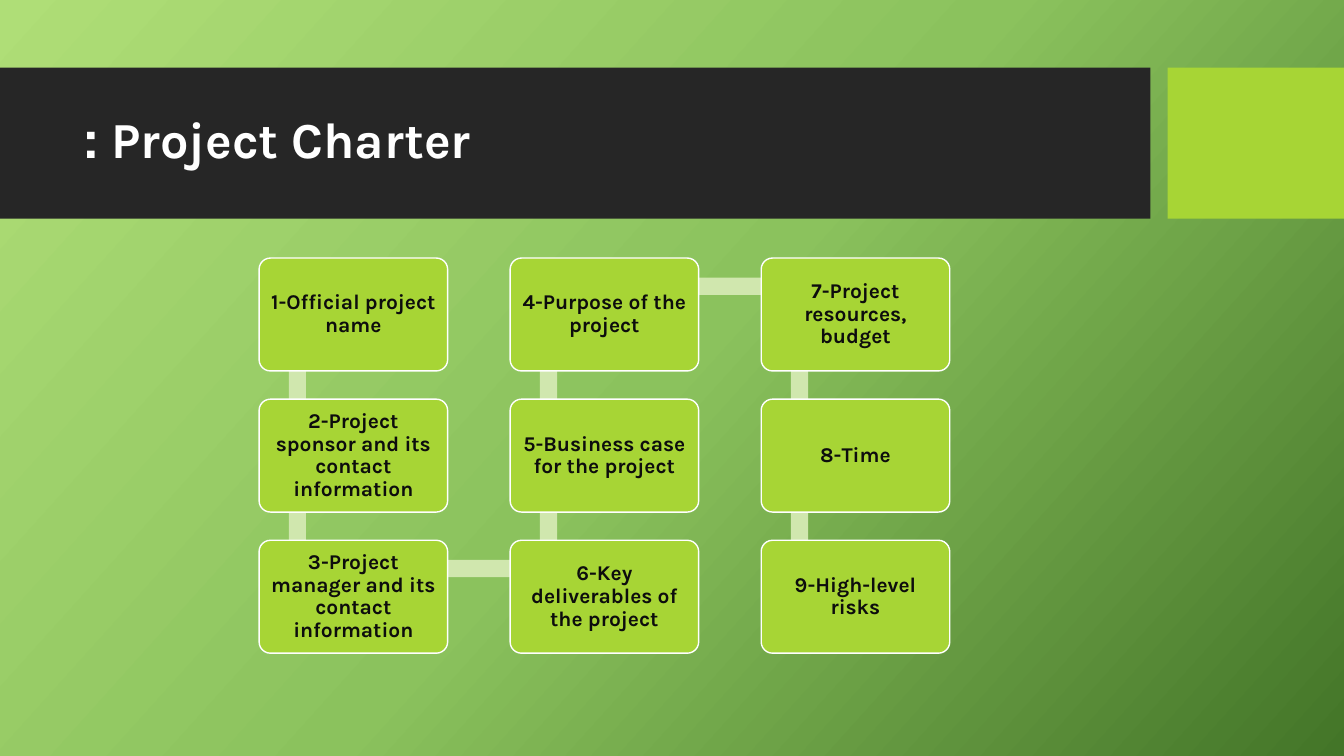
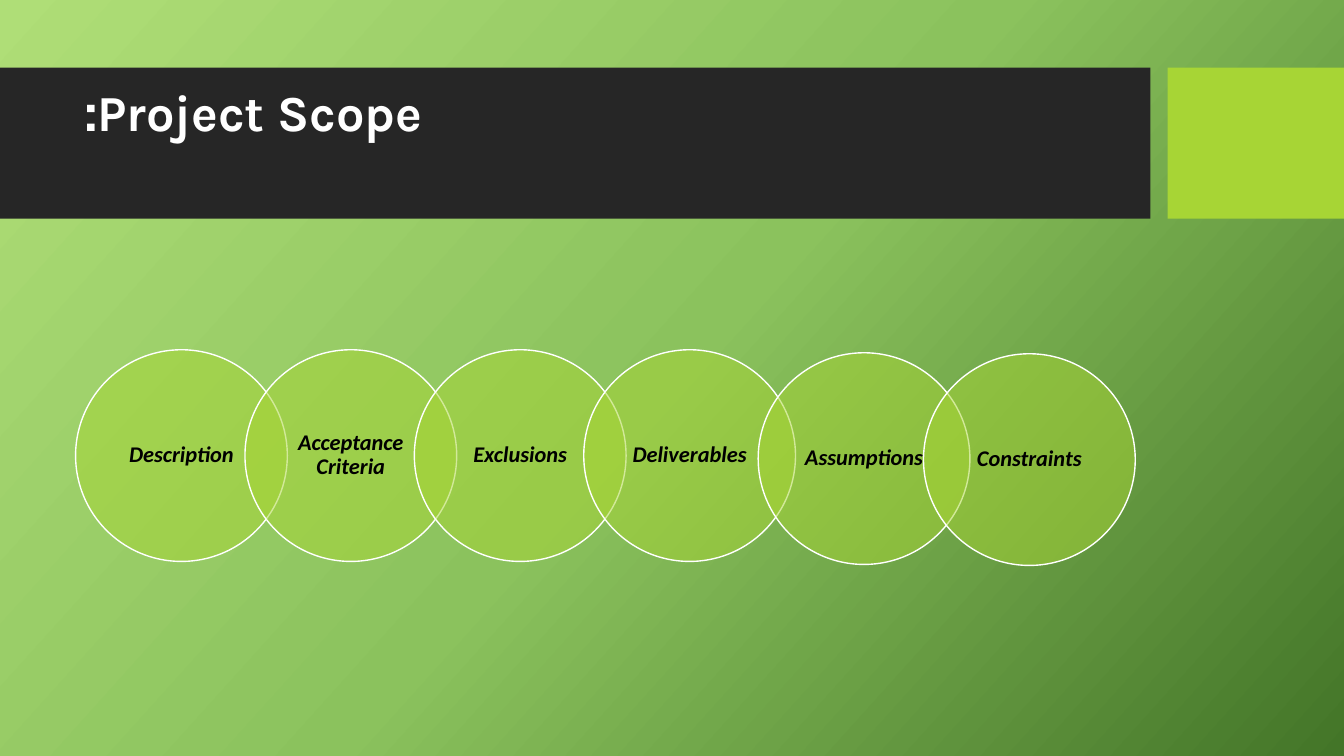
"""Build the project charter and project scope slides."""
import copy
import itertools

import pptx
import pptx.dml.color
import pptx.enum.shapes
import pptx.enum.text
import pptx.oxml
import pptx.oxml.ns
import pptx.util

Inches = pptx.util.Inches
Pt = pptx.util.Pt
SHAPE = pptx.enum.shapes.MSO_SHAPE
ANCHOR = pptx.enum.text.MSO_ANCHOR
ALIGN = pptx.enum.text.PP_ALIGN
qn = pptx.oxml.ns.qn

LIME = "A7D535"
CHARCOAL = "262626"
WHITE = "FFFFFF"
PALE_LIME = "D0E7AE"
NEAR_BLACK = "0D0D0D"
BLACK = "000000"
BACKDROP = [(0, "AFDE77"), (0.5, "8BC25D"), (1, "437528")]
BACKDROP_ANGLE = 42

BAND_TOP, BAND_HEIGHT = 0.67, 1.5

CHARTER_ITEMS = [
    "1-Official project name",
    "2-Project sponsor and its contact information",
    "3-Project manager and its contact information",
    "4-Purpose of the project",
    "5-Business case for the project",
    "6-Key deliverables of the project",
    "7-Project resources, budget",
    "8-Time",
    "9-High-level risks",
]
GRID_SIZE = 3
GRID_LEFT, GRID_TOP = 2.57, 2.56
COLUMN_STEP, ROW_STEP = 2.49, 1.4
BOX_WIDTH, BOX_HEIGHT = 1.87, 1.12
JOINT_X, JOINT_Y = 0.38, 0.28
TRACK_WIDTH = 0.17

SCOPE_ITEMS = [
    ("Description", 0, 0),
    ("Acceptance Criteria", 0, 0),
    ("Exclusions", 0, 0),
    ("Deliverables", 0, 0),
    ("Assumptions", 0.05, 0.03),
    ("Constraints", 0.01, 0.04),
]
CHAIN_LEFT, CHAIN_TOP, CHAIN_STEP = 0.75, 3.47, 1.68
CIRCLE_SIZE = 2.1


def rgb(hex_code):
    return pptx.dml.color.RGBColor.from_string(hex_code)


def paint_backdrop(master):
    fill = master.background.fill
    fill.gradient()
    stop_list = master.element.find(".//" + qn("a:gsLst"))
    stop_list.append(copy.deepcopy(stop_list[0]))
    for stop, (position, colour) in zip(fill.gradient_stops, BACKDROP):
        stop.position = position
        stop.color.rgb = rgb(colour)
    fill.gradient_angle = 360 - BACKDROP_ANGLE


def add_block(slide, kind, left, top, width, height, colour, outline=None):
    block = slide.shapes.add_shape(
        kind, Inches(left), Inches(top), Inches(width), Inches(height))
    block.shadow.inherit = False
    block.fill.solid()
    block.fill.fore_color.rgb = rgb(colour)
    if outline:
        block.line.color.rgb = rgb(outline)
        block.line.width = Pt(1)
    else:
        block.line.fill.background()
    return block


def set_opacity(block, percent):
    colour = block.fill._xPr.find(qn("a:solidFill"))[0]
    alpha = pptx.oxml.ns.nsdecls("a")
    colour.append(pptx.oxml.parse_xml(f'<a:alpha {alpha} val="{percent * 1000}"/>'))


def write_text(holder, text, font_name, size, colour, italic=False,
               align=ALIGN.CENTER, anchor=ANCHOR.MIDDLE, insets=(0.1, 0.05)):
    frame = holder.text_frame
    frame.word_wrap = True
    frame.vertical_anchor = anchor
    frame.margin_left = frame.margin_right = Inches(insets[0])
    frame.margin_top = frame.margin_bottom = Inches(insets[1])
    paragraph = frame.paragraphs[0]
    paragraph.text = text
    paragraph.alignment = align
    paragraph.line_spacing = 0.9
    font = paragraph.font
    font.name = font_name
    font.size = Pt(size)
    font.bold = True
    font.italic = italic
    font.color.rgb = rgb(colour)
    return paragraph


def add_titled_slide(deck, title, anchor):
    slide = deck.slides.add_slide(deck.slide_layouts[6])
    for left, width, colour in [(0, 11.41, CHARCOAL), (11.58, 1.75, LIME)]:
        add_block(slide, SHAPE.RECTANGLE, left, BAND_TOP, width, BAND_HEIGHT, colour)
    heading = slide.shapes.add_textbox(
        Inches(0.74), Inches(0.82), Inches(10.51), Inches(1.18))
    paragraph = write_text(heading, title, "Karla", 36, WHITE,
                           align=ALIGN.LEFT, anchor=anchor)
    paragraph._p.get_or_add_pPr().set("rtl", "1")
    return slide


def cell_corner(column, row):
    return GRID_LEFT + column * COLUMN_STEP, GRID_TOP + row * ROW_STEP


def add_track(slide, start, end):
    (start_x, start_y), (end_x, end_y) = start, end
    width = abs(end_x - start_x) or TRACK_WIDTH
    height = abs(end_y - start_y) or TRACK_WIDTH
    add_block(slide, SHAPE.RECTANGLE,
              (start_x + end_x - width) / 2, (start_y + end_y - height) / 2,
              width, height, PALE_LIME)


def add_charter_grid(slide):
    joints = []
    for column in range(GRID_SIZE):
        rows = range(GRID_SIZE)
        for row in reversed(rows) if column % 2 else rows:
            left, top = cell_corner(column, row)
            joints.append((left + JOINT_X, top + JOINT_Y))
    for start, end in itertools.pairwise(joints):
        add_track(slide, start, end)
    for index, item in enumerate(CHARTER_ITEMS):
        left, top = cell_corner(*divmod(index, GRID_SIZE))
        box = add_block(slide, SHAPE.ROUNDED_RECTANGLE, left, top,
                        BOX_WIDTH, BOX_HEIGHT, LIME, WHITE)
        box.adjustments[0] = 0.1
        write_text(box, item, "Karla", 15, NEAR_BLACK, insets=(0.06, 0.06))


def add_scope_chain(slide):
    for index, (item, shift_x, shift_y) in enumerate(SCOPE_ITEMS):
        circle = add_block(slide, SHAPE.OVAL,
                           CHAIN_LEFT + index * CHAIN_STEP + shift_x,
                           CHAIN_TOP + shift_y,
                           CIRCLE_SIZE, CIRCLE_SIZE, LIME, WHITE)
        set_opacity(circle, 50)
        write_text(circle, item, "Calibri", 16, BLACK, italic=True,
                   insets=(0.12, 0.02))


def main():
    deck = pptx.Presentation()
    deck.slide_width, deck.slide_height = Inches(13.33), Inches(7.5)
    paint_backdrop(deck.slide_master)
    add_charter_grid(add_titled_slide(deck, "Project Charter :", ANCHOR.MIDDLE))
    add_scope_chain(add_titled_slide(deck, "Project Scope:", ANCHOR.TOP))
    deck.save("out.pptx")


if __name__ == "__main__":
    main()
